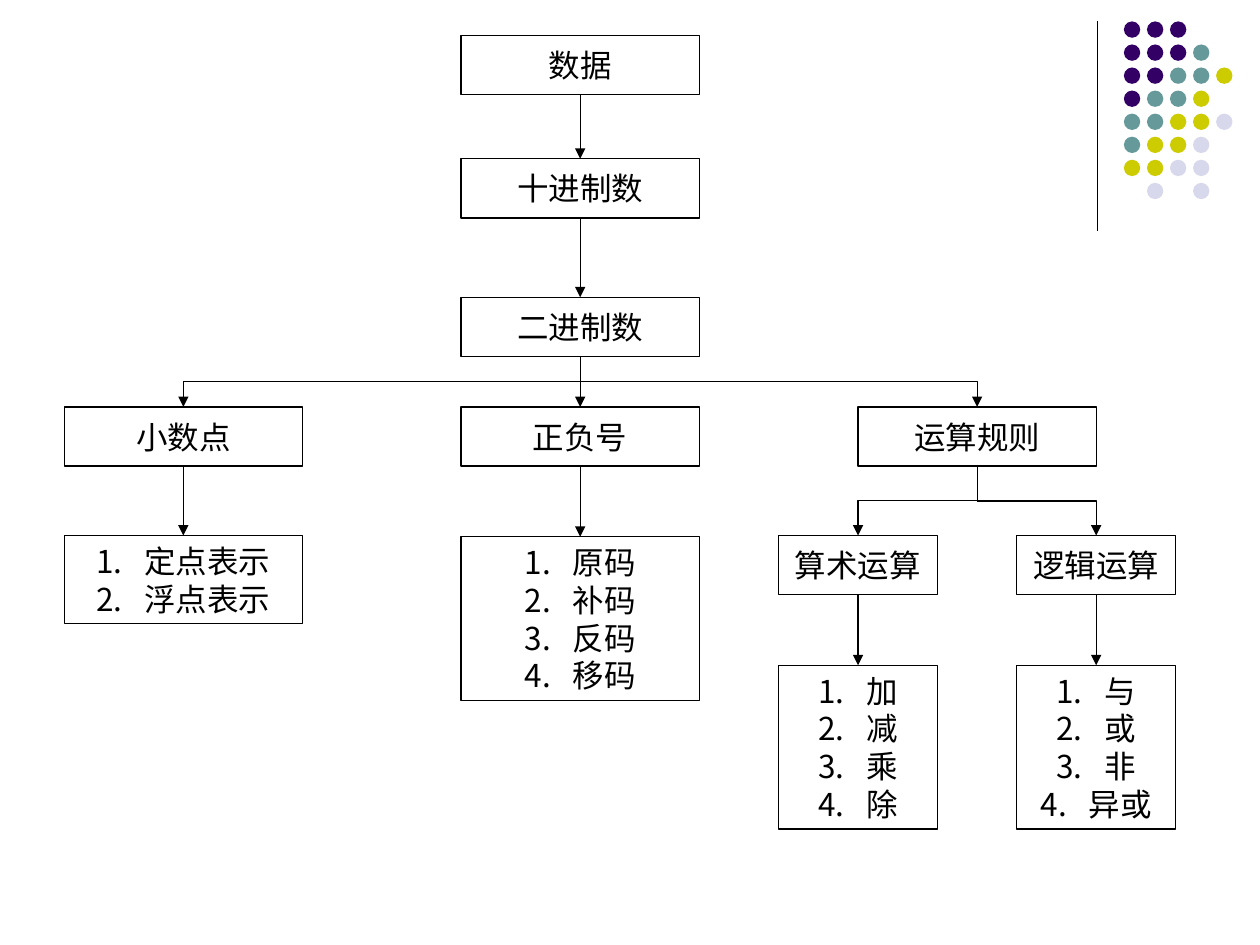
from lxml import etree
from pptx import Presentation
from pptx.dml.color import RGBColor
from pptx.enum.shapes import MSO_CONNECTOR, MSO_SHAPE
from pptx.enum.text import MSO_ANCHOR, MSO_AUTO_SIZE, PP_ALIGN
from pptx.oxml.ns import qn
from pptx.util import Inches, Pt

RECT, OVAL = MSO_SHAPE.RECTANGLE, MSO_SHAPE.OVAL
STRAIGHT, ELBOW = MSO_CONNECTOR.STRAIGHT, MSO_CONNECTOR.ELBOW
MIDDLE, CENTER = MSO_ANCHOR.MIDDLE, PP_ALIGN.CENTER
GROW, FIXED = MSO_AUTO_SIZE.SHAPE_TO_FIT_TEXT, MSO_AUTO_SIZE.NONE
TOP, BOTTOM = 0, 2


def color(code):
    return RGBColor.from_string(code)


class Chart:
    ink, face, size, line = "000000", "Arial", 18, 0.75
    left, col, row = 0.51, 0.63, 0.1

    def __init__(self, slide):
        self.shapes = slide.shapes

    def across(self, cols):
        return Inches(self.left + cols * self.col)

    def down(self, rows):
        return Inches(rows * self.row)

    def box(self, col, row, wide, tall, items, listed=False):
        shape = self.shapes.add_shape(
            RECT, self.across(col), self.down(row),
            Inches(wide * self.col), self.down(tall))
        shape.shadow.inherit = False
        shape.fill.background()
        shape.line.color.rgb = color(self.ink)
        shape.line.width = Pt(self.line)
        frame = shape.text_frame
        frame.word_wrap = listed
        frame.auto_size = GROW if listed else FIXED
        frame.vertical_anchor = MIDDLE
        frame.text = "\n".join(items)
        for para in frame.paragraphs:
            para.alignment = CENTER
            if listed:
                self.number(para)
            para.font.name = self.face
            para.font.size = Pt(self.size)
            para.font.color.rgb = color(self.ink)
        return shape

    def node(self, col, row, text, wide=3):
        return self.box(col, row, wide, 4.7, [text])

    def roll(self, col, row, tall, items, wide=3):
        return self.box(col, row, wide, tall, items, True)

    def number(self, para):
        props = para._p.get_or_add_pPr()
        props.set("marL", str(Inches(0.38)))
        props.set("indent", str(-Inches(0.38)))
        font = etree.SubElement(props, qn("a:buFont"))
        font.set("typeface", self.face)
        etree.SubElement(props, qn("a:buAutoNum")).set("type", "arabicPeriod")

    def wire(self, kind, start, end, head=True):
        wire = self.shapes.add_connector(kind, *start, *end)
        wire.line.color.rgb = color(self.ink)
        wire.line.width = Pt(self.line)
        props = wire._element.spPr
        if head:
            tail = etree.SubElement(wire.line._get_or_add_ln(), qn("a:tailEnd"))
            tail.set("type", "triangle")
        etree.SubElement(props, qn("a:effectLst"))
        return wire

    def foot(self, shape):
        return shape.left + shape.width // 2, shape.top + shape.height

    def crown(self, shape):
        return shape.left + shape.width // 2, shape.top

    def link(self, upper, lower):
        wire = self.wire(STRAIGHT, self.foot(upper), self.crown(lower))
        wire.begin_connect(upper, BOTTOM)
        wire.end_connect(lower, TOP)

    def fork(self, root, west, east, mid=None):
        (x, y), (wx, wy) = self.foot(root), self.crown(west)
        cx, cy = (x + wx) // 2, (y + wy) // 2
        dx, dy = (x - wx) // 2, (wy - y) // 2
        bend = self.wire(ELBOW, (cx - dy, cy - dx), (cx + dy, cy + dx))
        bend._element.spPr.find(qn("a:xfrm")).set("rot", "5400000")
        arm = self.wire(ELBOW, (x, cy), self.crown(east))
        arm._element.spPr.find(qn("a:prstGeom")).set("prst", "bentConnector2")
        if mid is not None:
            self.wire(STRAIGHT, (x, cy), self.crown(mid)).end_connect(mid, TOP)

    def dots(self, x, y, step, size, rows, tones):
        for r, row in enumerate(rows):
            for c, key in enumerate(row):
                if key in tones:
                    dot = self.shapes.add_shape(
                        OVAL, Inches(x + c * step), Inches(y + r * step),
                        Inches(size), Inches(size))
                    dot.shadow.inherit = False
                    dot.fill.solid()
                    dot.fill.fore_color.rgb = color(tones[key])
                    dot.line.fill.background()


def main():
    deck = Presentation()
    deck.slide_width, deck.slide_height = Inches(10), Inches(7.5)
    chart = Chart(deck.slides.add_slide(deck.slide_layouts[6]))

    chart.wire(STRAIGHT, (Inches(8.71), Inches(0.17)),
               (Inches(8.71), Inches(1.83)), head=False)
    chart.dots(8.92, 0.17, 0.183, 0.13,
               ["PPP", "PPPT", "PPTTY", "PTTY", "TTYYL", "TYYL", "YYLL", " L L"],
               {"P": "330066", "T": "669999", "Y": "CCCC00", "L": "D8D8EC"})

    data = chart.node(5, 2.8, "数据")
    ten = chart.node(5, 12.6, "十进制数")
    two = chart.node(5, 23.6, "二进制数")
    point, sign, rule = [
        chart.node(5 * i, 32.3, text)
        for i, text in enumerate(["小数点", "正负号", "运算规则"])]
    forms = chart.roll(0, 42.5, 7, ["定点表示", "浮点表示"])
    codes = chart.roll(5, 42.6, 13, ["原码", "补码", "反码", "移码"])
    math = chart.node(9, 42.5, "算术运算", 2)
    logic = chart.node(12, 42.5, "逻辑运算", 2)
    sums = chart.roll(9, 52.8, 13, ["加", "减", "乘", "除"], 2)
    gates = chart.roll(12, 52.8, 13, ["与", "或", "非", "异或"], 2)

    for upper, lower in [(data, ten), (ten, two), (point, forms),
                         (sign, codes), (math, sums), (logic, gates)]:
        chart.link(upper, lower)
    chart.fork(two, point, rule, sign)
    chart.fork(rule, math, logic)

    deck.save("out.pptx")


if __name__ == "__main__":
    main()
